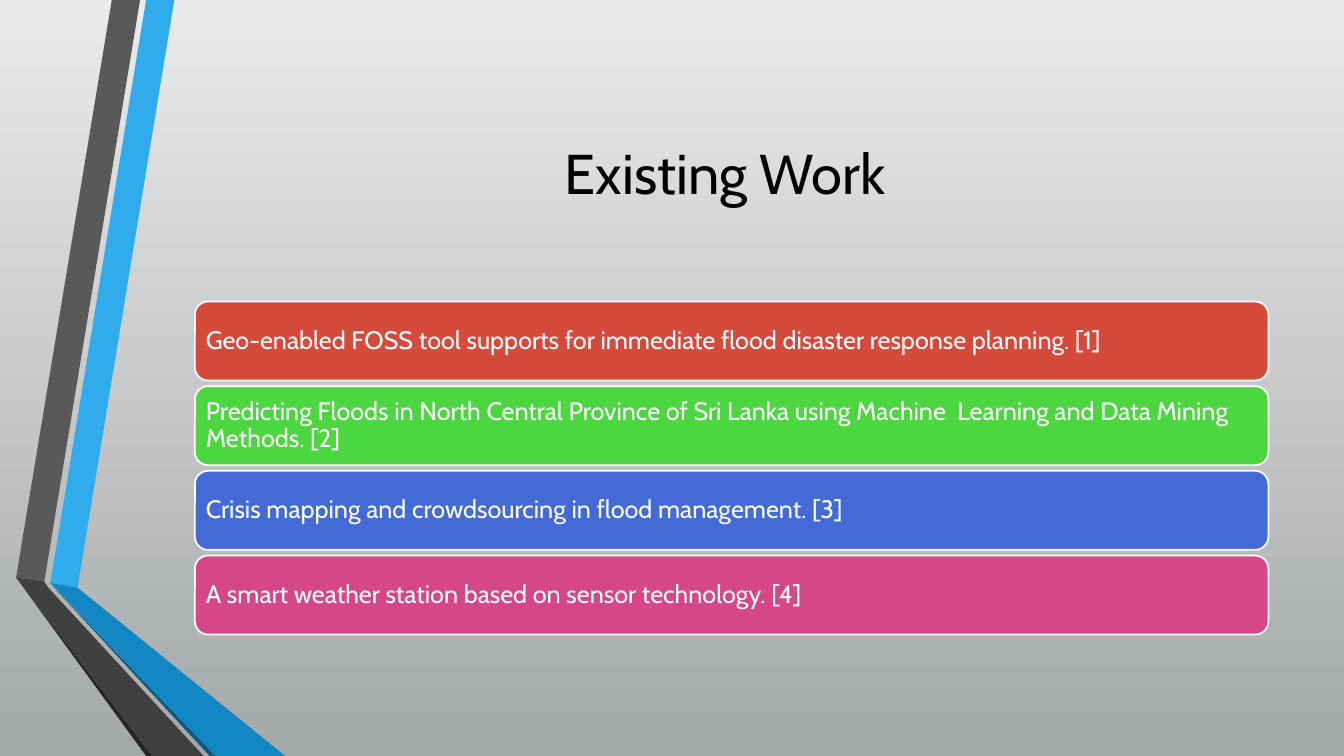
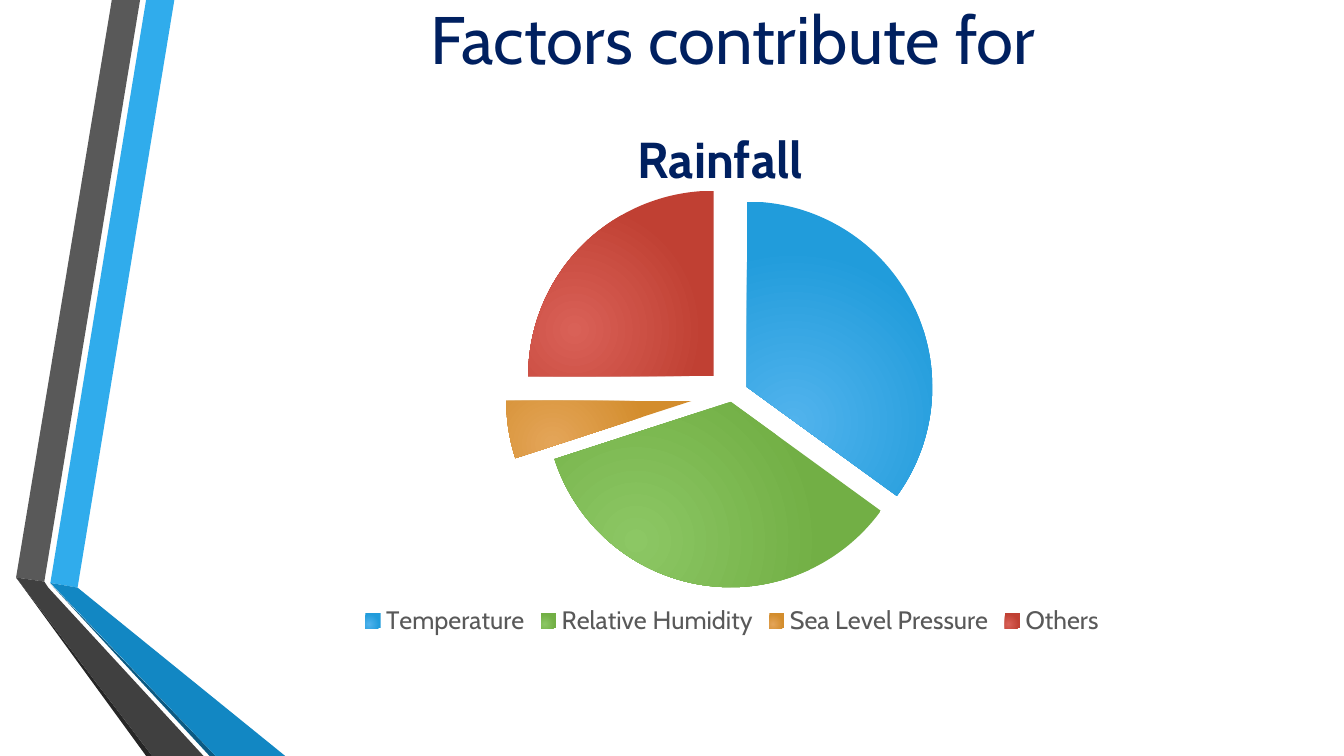
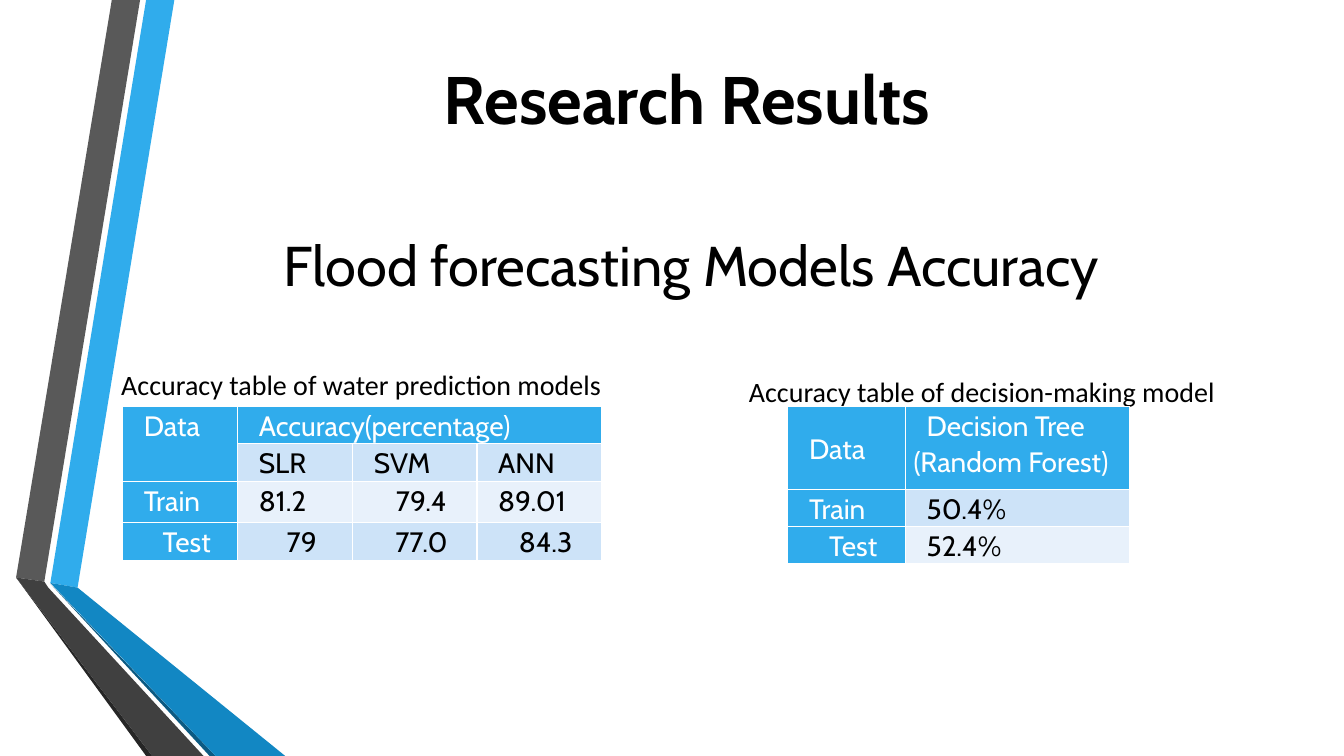
from dataclasses import dataclass
from pptx import Presentation
from pptx.chart.data import CategoryChartData
from pptx.dml.color import RGBColor
from pptx.enum.chart import XL_CHART_TYPE, XL_LEGEND_POSITION
from pptx.enum.shapes import MSO_SHAPE
from pptx.enum.text import MSO_ANCHOR, PP_ALIGN
from pptx.oxml import parse_xml
from pptx.oxml.ns import nsdecls, qn
from pptx.util import Emu, Inches, Pt


@dataclass(frozen=True)
class Theme:
    font: str = "Cabin"
    plain: str = "Calibri"
    ink: str = "000000"
    white: str = "FFFFFF"
    navy: str = "002060"
    grey: str = "595959"
    blue: str = "30ACEC"
    bands: tuple = ("E8F1FB", "CDE3F8")
    sky: tuple = ("E9EAEB", "A5A8A9")
    huge: int = 48
    head: int = 40
    sub: int = 36
    cell: int = 20
    body: int = 18


T = Theme()
RGB = RGBColor.from_string
UNIT = 76200  # grid of 160 columns by 90 rows
COLS, ROWS = 160, 90


def grid(*cells):
    """Turn counts of grid cells into lengths."""
    return [Emu(round(n * UNIT)) for n in cells]


def put(frame, text, size=T.body, color=T.ink, font=T.font, bold=False,
        align=PP_ALIGN.CENTER, space=None, first=0):
    """Write one formatted paragraph; first is the first-line indent in inches."""
    frame.word_wrap = True
    para = frame.paragraphs[0]
    para.text = text
    para.alignment = align
    para.line_spacing = space
    if first:
        para._p.get_or_add_pPr().set("indent", str(Inches(first)))
    for run in para.runs:
        run.font.size, run.font.name, run.font.bold = Pt(size), font, bold
        run.font.color.rgb = RGB(color)


deck = Presentation()
deck.slide_width, deck.slide_height = grid(COLS, ROWS)

# Ribbon on every slide
ribbon = [
    (T.blue, [(6, 69.4), (9.24, 69.96), (20.76, 0), (17.4, 0)]),
    (T.grey, [(16.68, 0), (13.32, 0), (1.92, 68.76), (5.28, 69.24)]),
    ("262626", [(1.92, 68.76), (17.4, ROWS), (18.12, ROWS)]),
    ("0C5A82", [(6, 69.48), (24.96, ROWS), (25.68, ROWS)]),
    ("1287C3", [(6, 69.4), (25.68, ROWS), (33.96, ROWS), (9.24, 69.96)]),
    ("404040", [(24.24, ROWS), (5.76, 69.96), (5.28, 69.24), (1.92, 68.76),
                (18.12, ROWS)]),
]
# Text boxes of each slide: place, text, format
title = dict(size=T.head)
note = dict(size=T.cell, font=T.plain, space=1.06)
texts = [
    [((23.2, 9, 127.8, 23), "Existing Work ", title)],
    [((21.5, 0, 131.5, 8.9), "Factors contribute for",
      dict(size=T.huge, color=T.navy))],
    [((17.3, 19.9, 131.5, 23), "Flood forecasting Models Accuracy ", title),
     ((3, 43, 80, 5.2), "Accuracy table of water prediction models", note),
     ((76.9, 43.9, 80, 5.2), "Accuracy table of decision-making model", note),
     ((41.8, 6.2, 80, 10.9), "Research Results", dict(size=T.huge, bold=True))],
]
slides = []
for boxes in texts:
    slide = deck.slides.add_slide(deck.slide_layouts[6])
    slides.append(slide)
    for color, points in ribbon:
        start, *rest = [grid(*point) for point in points]
        pen = slide.shapes.build_freeform(*start)
        pen.add_line_segments(rest)
        strip = pen.convert_to_shape()
        strip.shadow.inherit = False
        strip.fill.solid()
        strip.fill.fore_color.rgb = RGB(color)
        strip.line.fill.background()
    for place, text, form in boxes:
        frame = slide.shapes.add_textbox(*grid(*place)).text_frame
        frame.vertical_anchor = MSO_ANCHOR.MIDDLE
        put(frame, text, **form)
work, rain, result = slides

# Existing work
back = work.background.fill
back.gradient()
back.gradient_angle = 270
for stop, color in zip(back.gradient_stops, T.sky):
    stop.color.rgb = RGB(color)
bars = [
    ("D64A3B", "Geo-enabled FOSS tool supports for immediate flood disaster "
               "response planning. [1]"),
    ("4CD63F", "Predicting Floods in North Central Province of Sri Lanka using "
               "Machine  Learning and Data Mining Methods. [2]"),
    ("436AD6", "Crisis mapping and crowdsourcing in flood management. [3]"),
    ("D64787", "A smart weather station based on sensor technology. [4]"),
]
for i, (color, text) in enumerate(bars):
    bar = work.shapes.add_shape(MSO_SHAPE.ROUNDED_RECTANGLE,
                                *grid(23.2, 35.9 + 10.08 * i, 127.8, 9.4))
    bar.shadow.inherit = False
    bar.fill.solid()
    bar.fill.fore_color.rgb = RGB(color)
    bar.line.color.rgb = RGB(T.white)
    bar.line.width = Pt(1.25)
    frame = bar.text_frame
    frame.margin_left = frame.margin_right = Inches(0.07)
    frame.vertical_anchor = MSO_ANCHOR.MIDDLE
    put(frame, text, color=T.white, align=PP_ALIGN.LEFT, space=0.9)

# Rainfall pie: name, value, explosion, inner and outer colour
parts = [
    ("Temperature", 35, 9, "51B3ED", "219CDB"),
    ("Relative Humidity", 35, 4, "8CC764", "72AF45"),
    ("Sea Level Pressure", 5, 22, "E4A559", "D38D2D"),
    ("Others", 25, 14, "D96157", "C04033"),
]
data = CategoryChartData()
data.categories = [part[0] for part in parts]
data.add_series("Series 1", [part[1] for part in parts])
chart = rain.shapes.add_chart(XL_CHART_TYPE.PIE, *grid(25.4, 10.4, 123.5, 65.9),
                              data).chart
chart.font.name, chart.font.size = T.font, Pt(10)
chart.has_title = chart.has_legend = True
put(chart.chart_title.text_frame, "Rainfall", size=T.sub, color=T.navy, bold=True)
key = chart.legend
key.position = XL_LEGEND_POSITION.BOTTOM
key.include_in_layout = False
key.font.name, key.font.size = T.font, Pt(T.body)
key.font.color.rgb = RGB(T.grey)
plot = chart.plots[0]
plot.vary_by_categories = True
for i, (_, _, push, *tones) in enumerate(parts):
    fill = plot.series[0].points[i].format.fill
    fill.gradient()
    for stop, color in zip(fill.gradient_stops, tones):
        stop.color.rgb = RGB(color)
    point = plot.series[0]._element.findall(qn("c:dPt"))[i]
    lin = point.find(".//" + qn("a:lin"))
    lin.getparent().replace(lin, parse_xml(
        f'<a:path {nsdecls("a")} path="circle"><a:fillToRect l="50000" '
        't="100000" r="100000" b="50000"/></a:path>'))
    point.find(qn("c:spPr")).addprevious(
        parse_xml(f'<c:explosion {nsdecls("c")} val="{push}"/>'))
# Shares of the chart's size
spots = [
    ("c:title", 1, "", dict(x=0.4, y=0.05)),
    ("c:plotArea", 0, '<c:layoutTarget val="inner"/>',
     dict(x=0.41 - 0.09, y=0.22, w=0.36, h=0.67)),
]
for tag, index, target, place in spots:
    node = chart.element.find(".//" + qn(tag))
    for old in node.findall(qn("c:layout")):
        node.remove(old)
    modes = "".join(f'<c:{k}Mode val="edge"/>' for k in "xy")
    sizes = "".join(f'<c:{k} val="{v:.2f}"/>' for k, v in place.items())
    node.insert(index, parse_xml(
        f'<c:layout {nsdecls("c")}><c:manualLayout>{target}{modes}{sizes}'
        '</c:manualLayout></c:layout>'))

# Accuracy tables: place, columns, rows, merges, centred cells, first anchor, text
tables = [
    ((14.6, 48.4), (13.7, 13.7, 14.8, 14.8), (4.3, 4.6, 4.8, 4.6),
     [(0, 0, 1, 0), (0, 1, 0, 3)],
     [(2, 2), (3, 0), (3, 1), (3, 2), (3, 3)], MSO_ANCHOR.TOP,
     [("Data", "Accuracy(percentage)", "", ""),
      ("", "SLR", "SVM", "ANN"),
      ("Train", "81.2", "79.4", "89.01"),
      ("Test", "79", "77.0", "84.3")]),
    ((93.8, 48.4), (14, 26.7), (9.9, 4.4, 4.4), [], [(2, 0)], MSO_ANCHOR.MIDDLE,
     [("Data", "Decision Tree\n(Random Forest)"),
      ("Train", "50.4%"),
      ("Test", "52.4%")]),
]
for spot, wide, high, spans, mid, anchor, lines in tables:
    table = result.shapes.add_table(len(high), len(wide), *grid(
        *spot, sum(wide), sum(high))).table
    table.first_row = table.horz_banding = False
    for col, width in zip(table.columns, grid(*wide)):
        col.width = width
    for row, height in zip(table.rows, grid(*high)):
        row.height = height
    for r, line in enumerate(lines):
        for c, text in enumerate(line):
            cell = table.cell(r, c)
            cell.margin_left = cell.margin_right = Inches(0.08)
            cell.margin_top, cell.margin_bottom = Inches(0.01), 0
            lead = r == 0 or c == 0
            for side in "LRTB":
                cell._tc.get_or_add_tcPr().append(parse_xml(
                    f'<a:ln{side} {nsdecls("a")} w="{Pt(1)}"><a:solidFill>'
                    f'<a:srgbClr val="{T.white}"/></a:solidFill></a:ln{side}>'))
            cell.fill.solid()
            cell.fill.fore_color.rgb = RGB(T.blue if lead else T.bands[r % 2])
            if text:
                put(cell.text_frame, text, size=T.cell, space=1.06, first=0.13,
                    color=T.white if lead else T.ink,
                    align=PP_ALIGN.CENTER if (r, c) in mid else PP_ALIGN.LEFT)
    table.cell(0, 0).vertical_anchor = anchor
    for top, left, low, right in spans:
        table.cell(top, left).merge(table.cell(low, right))

deck.save("out.pptx")
